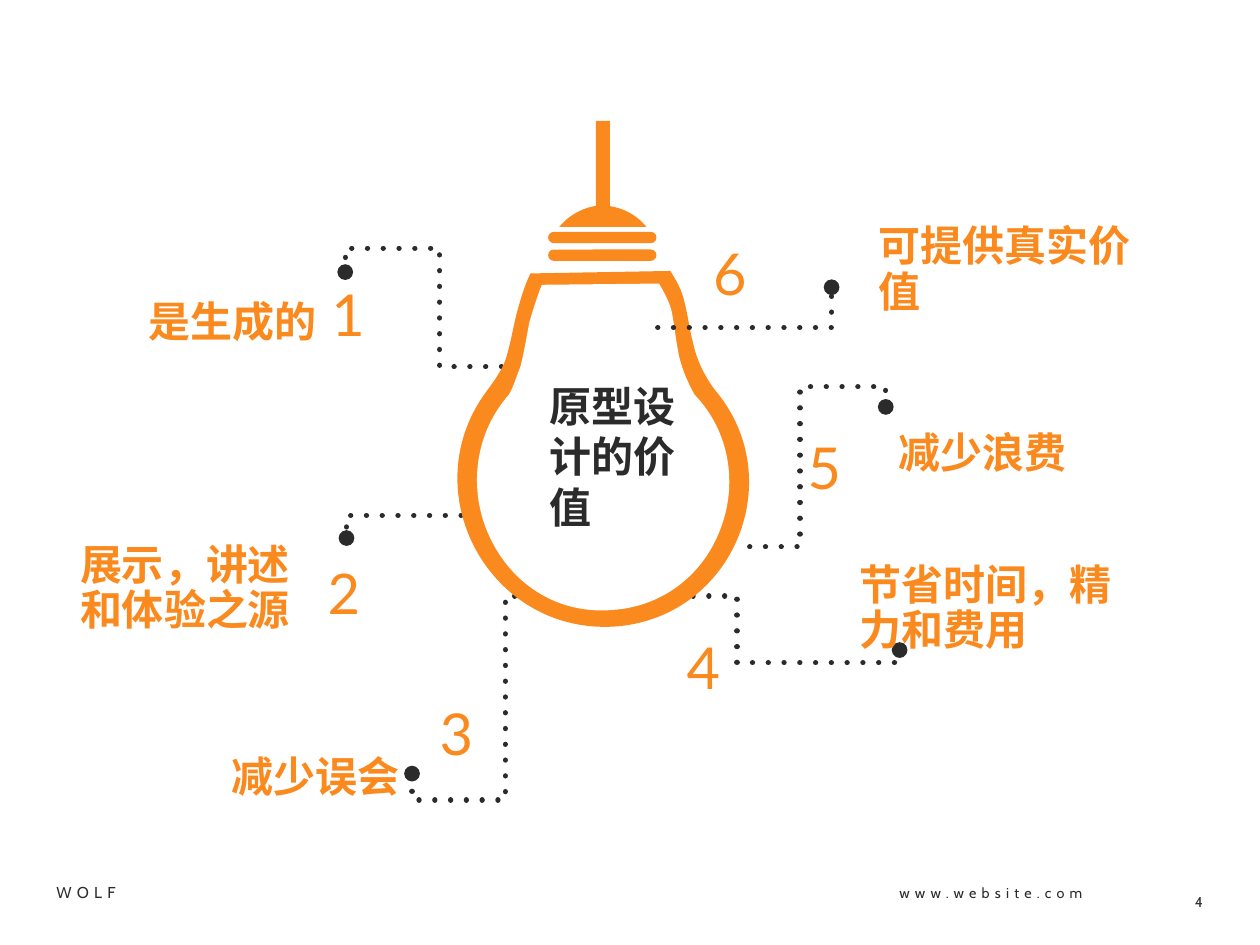
from pptx import Presentation
from pptx import util as u
from pptx.dml.color import RGBColor
from pptx.enum import shapes, text
from pptx.oxml import ns
from lxml import etree

HUES = {"dark": "2B2B2B", "gold": "FA891E", "white": "FFFFFF"}
HAN = "Noto Sans CJK SC"

BACK = [
    [(4.46, 4.73), (4.01, 4.73), (4.01, 6.35), (3.27, 6.35), (3.27, 6.14)],
    [(5, 4.73), (5.85, 4.73), (5.85, 5.26), (7.14, 5.26), (7.14, 5.16)],
    [(3.98, 2.91), (3.49, 2.91), (3.49, 1.97), (2.74, 1.97), (2.74, 2.16)],
    [(3.66, 4.09), (2.75, 4.09), (2.75, 4.27)],
]
FRONT = [
    [(5.22, 2.6), (6.6, 2.6), (6.6, 2.28)],
    [(5.95, 4.34), (6.35, 4.34), (6.35, 3.07), (7.03, 3.07), (7.03, 3.23)],
]

GLASS = (3.63, 2.15, 2.32, 2.82), [
    (4.21, 2.17), (5.32, 2.15),
    (5.37, 2.23, 5.41, 2.3, 5.43, 2.39), (5.46, 2.5, 5.47, 2.61, 5.5, 2.72),
    (5.53, 2.86, 5.59, 2.98, 5.67, 3.09), (6.27, 3.79, 5.83, 4.88, 4.91, 4.97),
    (3.89, 5.06, 3.25, 3.89, 3.88, 3.08), (3.93, 3.01, 3.98, 2.94, 4.01, 2.86),
    (4.05, 2.74, 4.07, 2.61, 4.1, 2.49), (4.13, 2.38, 4.16, 2.27, 4.21, 2.17)]
HOLLOW = (3.79, 2.25, 2, 2.6), [
    (4.3, 2.26), (5.23, 2.25),
    (5.27, 2.32, 5.31, 2.39, 5.33, 2.47), (5.35, 2.57, 5.36, 2.67, 5.38, 2.78),
    (5.4, 2.9, 5.45, 3.02, 5.51, 3.13), (5.8, 3.43, 5.85, 3.85, 5.72, 4.19),
    (5.59, 4.55, 5.27, 4.81, 4.87, 4.84), (4.44, 4.88, 4.08, 4.65, 3.9, 4.29),
    (3.72, 3.94, 3.74, 3.47, 4.04, 3.13), (4.08, 3.06, 4.1, 2.98, 4.13, 2.91),
    (4.16, 2.79, 4.18, 2.67, 4.2, 2.56), (4.23, 2.46, 4.26, 2.36, 4.3, 2.26)]
DOME = (4.44, 1.63, 0.69, 0.16), [
    (5.13, 1.8), (5.04, 1.69, 4.91, 1.63, 4.76, 1.63),
    (4.64, 1.64, 4.52, 1.7, 4.44, 1.8), (5.13, 1.8)]

DIGITS = [
    ("1", (2.63, 2.17, 0.5, 0.64), 33), ("2", (2.6, 4.39, 0.42, 0.62), 32),
    ("3", (3.49, 5.49, 0.5, 0.64), 33), ("4", (5.45, 4.97, 0.5, 0.64), 33),
    ("5", (6.41, 3.38, 0.31, 0.64), 33), ("6", (5.66, 1.84, 0.5, 0.64), 33),
]
LABELS = [
    ("是生成的", (0.12, 2.34, 2.49, 0.3), "RIGHT"),
    ("展示，讲述和体验之源", (0.26, 4.27, 2.14, 0.99), "RIGHT"),
    ("减少误会", (0.78, 5.95, 2.49, 0.3), "RIGHT"),
    ("节省时间，精力和费用", (6.72, 4.43, 2.49, 0.3), "LEFT"),
    ("减少浪费", (7.03, 3.38, 2.49, 0.3), "LEFT"),
    ("可提供真实价值", (6.87, 1.74, 2.49, 0.3), "LEFT"),
]
FOOT = [("WOLF", (0.35, 6.96, 0.7, 0.25), 9),
        ("www.website.com", (7.04, 6.97, 1.73, 0.24), 8.2)]

deck = Presentation()
deck.slide_width, deck.slide_height = u.Inches(10), u.Inches(7.5)
slide = deck.slides.add_slide(deck.slide_layouts[6])
tree = slide.shapes


def hue(name):
    return RGBColor.from_string(HUES[name])


def write(words, box, size, face, color, align="LEFT", mid=False,
          inset=None, wrap=True, bold=False, gap=None, track=0):
    frame = tree.add_textbox(*map(u.Inches, box)).text_frame
    frame.word_wrap = wrap
    if mid:
        frame.vertical_anchor = text.MSO_ANCHOR.MIDDLE
    if inset:
        frame.margin_left = frame.margin_right = u.Inches(inset[0])
        frame.margin_top = frame.margin_bottom = u.Inches(inset[1])
    para = frame.paragraphs[0]
    para.alignment = text.PP_ALIGN[align]
    para.line_spacing = gap
    run = para.add_run()
    run.text = words
    font = run.font
    font.size, font.name, font.bold = u.Pt(size), face, bold
    font.color.rgb = hue(color)
    props = run._r.get_or_add_rPr()
    etree.SubElement(props, ns.qn("a:ea")).set("typeface", face)
    if track:
        props.set("spc", str(track * 100))


def trace(home, points, close):
    spots = [(u.Inches(x), u.Inches(y)) for x, y in points]
    pen = home.build_freeform(*spots[0], scale=1.0)
    pen.add_line_segments(spots[1:], close=close)
    shape = pen.convert_to_shape()
    shape.shadow.inherit = False
    return shape


def paint(shape, color):
    shape.shadow.inherit = False
    shape.fill.solid()
    shape.fill.fore_color.rgb = hue(color)
    shape.line.fill.background()


def bend(home, outline, color):
    (left, top, wide, high), steps = outline
    right, low = left + wide, top + high
    shape = trace(home, [(left, top), (right, top), (right, low), (left, low)],
                  True)
    route = shape._element.find(".//" + ns.qn("a:path"))
    for part in list(route):
        route.remove(part)
    for i, step in enumerate(steps):
        kind = "a:cubicBezTo" if len(step) == 6 else "a:lnTo"
        part = etree.SubElement(route, ns.qn(kind if i else "a:moveTo"))
        for x, y in zip(step[::2], step[1::2]):
            spot = etree.SubElement(part, ns.qn("a:pt"))
            spot.set("x", str(u.Inches(right - x)))
            spot.set("y", str(u.Inches(low - y)))
    etree.SubElement(route, ns.qn("a:close"))
    shape.rotation = 180
    paint(shape, color)


def lead(points):
    shape = trace(tree, points, False)
    shape.fill.background()
    shape.line.color.rgb = hue("dark")
    shape.line.width = u.Pt(3)
    line = shape.line._get_or_add_ln()
    line.set("cap", "rnd")
    dash = etree.SubElement(line, ns.qn("a:custDash"))
    dot = etree.SubElement(dash, ns.qn("a:ds"))
    dot.set("d", "100000")
    dot.set("sp", "200000")
    etree.SubElement(line, ns.qn("a:round"))
    etree.SubElement(line, ns.qn("a:tailEnd")).set("type", "oval")


def block(home, kind, box):
    shape = home.add_shape(kind, *map(u.Inches, box))
    paint(shape, "gold")
    return shape


for words, box, size in FOOT:
    write(words, box, size, "Cabin", "dark", wrap=False, track=3)
write("4", (9.34, 7.05, 0.35, 0.21), 8.2, "Cabin", "dark", "CENTER",
      mid=True, inset=(0.07, 0.04))

for points in BACK:
    lead(points)

bulb = tree.add_group_shape().shapes
bend(bulb, GLASS, "gold")
bend(bulb, HOLLOW, "white")
for top in (1.98, 1.84):
    ring = block(bulb, shapes.MSO_SHAPE.ROUNDED_RECTANGLE,
                 (4.35, top, 0.86, 0.09))
    ring.adjustments[0] = 0.5
    ring.rotation = 180
bend(bulb, DOME, "gold")
block(bulb, shapes.MSO_SHAPE.RECTANGLE, (4.73, 0.96, 0.11, 0.73))
write("原型设计的价值", (4.26, 2.97, 1.27, 1.3), 24, HAN, "dark", bold=True)

for points in FRONT:
    lead(points)
for words, box, size in DIGITS:
    write(words, box, size, "Lato", "gold", mid=True, inset=(0, 0))
for words, box, align in LABELS:
    write(words, box, 24, HAN, "gold", align, bold=True, gap=0.9)

deck.save("out.pptx")
